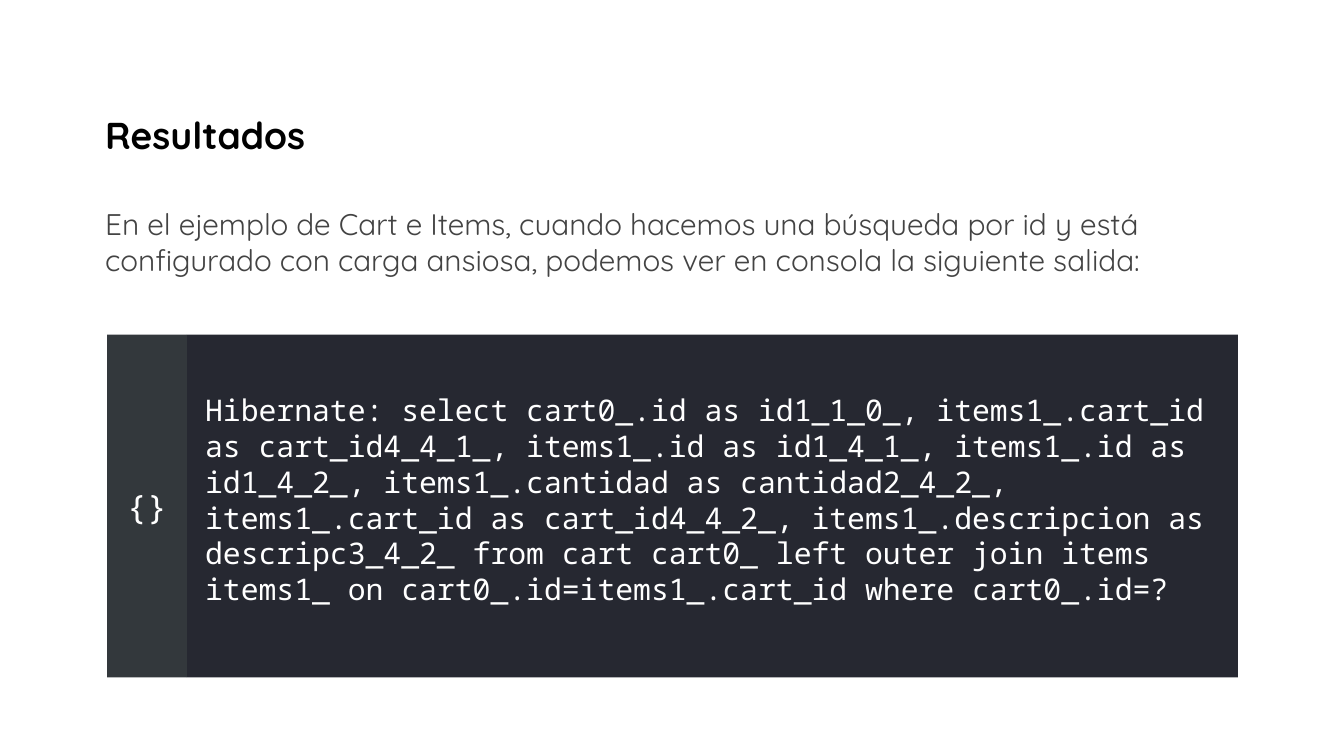
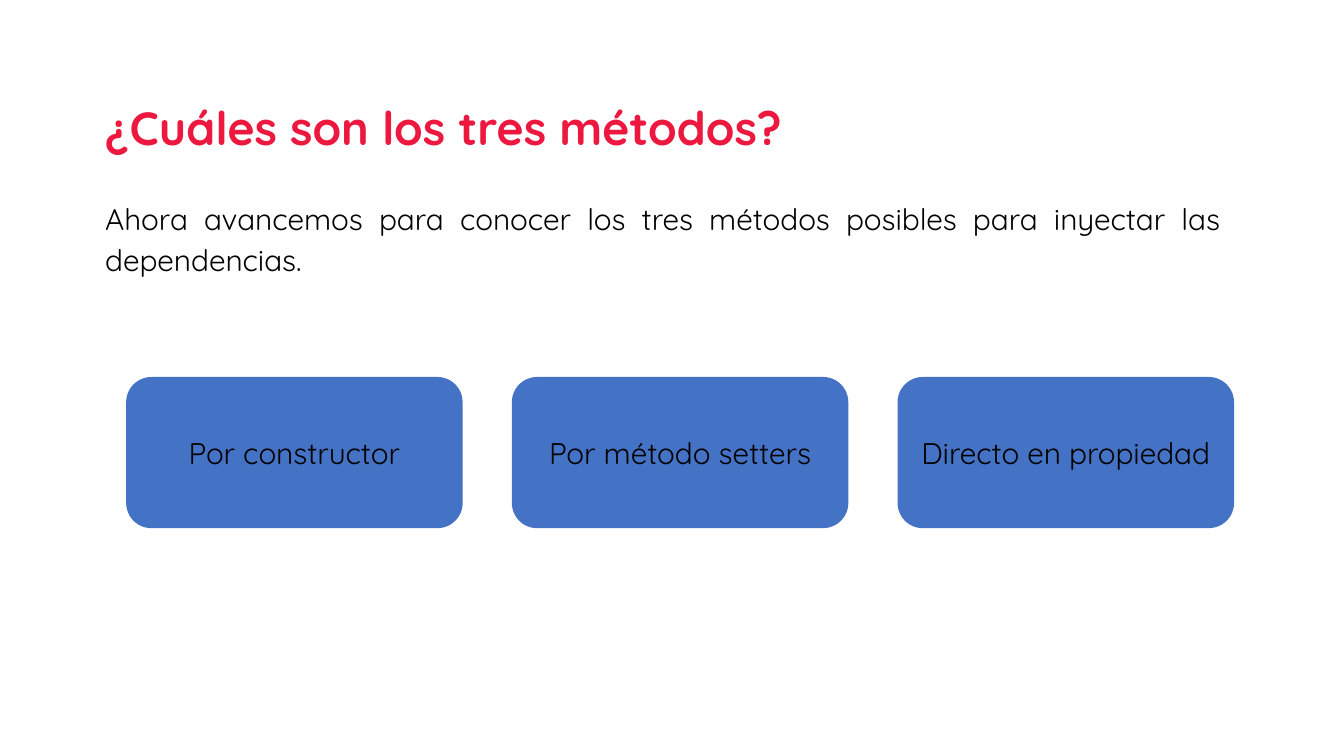
from lxml.etree import SubElement
from pptx import Presentation
from pptx.dml.color import RGBColor
from pptx.enum.shapes import MSO_SHAPE
from pptx.enum.text import MSO_ANCHOR, MSO_AUTO_SIZE, PP_ALIGN
from pptx.oxml.ns import qn
from pptx.util import Cm, Pt

RESULTS = {
    "title": "Resultados",
    "body": "En el ejemplo de Cart e Items, cuando hacemos una búsqueda por id y está "
            "configurado con carga ansiosa, podemos ver en consola la siguiente salida:",
    "badge": "{}",
    "code": "Hibernate: select cart0_.id as id1_1_0_, items1_.cart_id as cart_id4_4_1_, "
            "items1_.id as id1_4_1_, items1_.id as id1_4_2_, items1_.cantidad as "
            "cantidad2_4_2_, items1_.cart_id as cart_id4_4_2_, items1_.descripcion as "
            "descripc3_4_2_ from cart cart0_ left outer join items items1_ on "
            "cart0_.id=items1_.cart_id where cart0_.id=?",
}
METHODS = {
    "title": "¿Cuáles son los tres métodos?",
    "body": "Ahora avancemos para conocer los tres métodos posibles para inyectar "
            "las dependencias.",
    "cards": ["Por constructor", "Por método setters", "Directo en propiedad"],
}
COLORS = {
    "black": "000000", "grey": "434343", "white": "FFFFFF", "red": "EC183F",
    "panel": "262831", "strip": "33383C", "card": "4472C4",
}
SANS, MONO = "Quicksand", "Noto Sans Mono"
TEXT_SIZE = 21.3
LEFT, WIDTH = 2.31, 28.8
INSET = 0.34


def color(name):
    return RGBColor.from_string(COLORS[name])


def write(part, text, ink, size=TEXT_SIZE, font=SANS, bold=False, align=PP_ALIGN.LEFT,
          anchor=MSO_ANCHOR.MIDDLE, spacing=1.0, after=0, left_inset=INSET, top_inset=INSET):
    frame = part.text_frame
    frame.word_wrap = True
    frame.auto_size = MSO_AUTO_SIZE.NONE
    frame.vertical_anchor = anchor
    frame.margin_left, frame.margin_top = Cm(left_inset), Cm(top_inset)
    frame.margin_right = frame.margin_bottom = Cm(INSET)
    frame.text = text
    paragraph = frame.paragraphs[0]
    paragraph.alignment = align
    paragraph.line_spacing = spacing
    paragraph.space_before, paragraph.space_after = Pt(0), Pt(after)
    properties = paragraph._p.get_or_add_pPr()
    properties.set("marL", "0")
    properties.set("indent", "0")
    SubElement(properties, qn("a:buNone"))
    paragraph.font.name = font
    paragraph.font.size = Pt(size)
    paragraph.font.bold = bold
    paragraph.font.color.rgb = color(ink)


def place(part, top, height):
    part.left, part.top, part.width, part.height = Cm(LEFT), Cm(top), Cm(WIDTH), Cm(height)


def add_block(slide, kind, left, top, width, height, fill):
    block = slide.shapes.add_shape(kind, Cm(left), Cm(top), Cm(width), Cm(height))
    block.shadow.inherit = False
    block.fill.solid()
    block.fill.fore_color.rgb = color(fill)
    block.line.fill.background()
    return block


def add_slide(deck, title_box, body_box):
    slide = deck.slides.add_slide(deck.slide_layouts[1])
    title, body = slide.placeholders
    place(title, *title_box)
    place(body, *body_box)
    return slide, title, body


def build_results(deck):
    slide, title, body = add_slide(deck, (1.93, 2.9), (4.85, 8.64))
    write(title, RESULTS["title"], "black", 26.7, bold=True)
    write(body, RESULTS["body"], "grey", anchor=MSO_ANCHOR.TOP)
    left, top, strip_width, panel_width, height = 2.7, 8.43, 2.01, 26.49, 8.64
    panel = add_block(slide, MSO_SHAPE.RECTANGLE, left + strip_width, top,
                      panel_width, height, "panel")
    write(panel, RESULTS["code"], "white", font=MONO, left_inset=0.46, top_inset=0)
    strip = add_block(slide, MSO_SHAPE.RECTANGLE, left, top, strip_width, height, "strip")
    write(strip, RESULTS["badge"], "white", 24, MONO, align=PP_ALIGN.CENTER)


def build_methods(deck):
    slide, title, body = add_slide(deck, (2.21, 2.13), (4.57, 3.33))
    write(title, METHODS["title"], "red", 33.3, bold=True, spacing=0.9)
    write(body, METHODS["body"], "black", align=PP_ALIGN.JUSTIFY,
          anchor=MSO_ANCHOR.TOP, spacing=1.15, after=13.3)
    left, top, width, height, pitch = 3.18, 9.5, 8.48, 3.81, 9.72
    for index, method in enumerate(METHODS["cards"]):
        card = add_block(slide, MSO_SHAPE.ROUNDED_RECTANGLE, left + index * pitch, top,
                         width, height, "card")
        write(card, method, "black", align=PP_ALIGN.CENTER)


def main():
    deck = Presentation()
    deck.slide_width, deck.slide_height = Cm(33.87), Cm(19.05)
    build_results(deck)
    build_methods(deck)
    deck.save("out.pptx")


if __name__ == "__main__":
    main()
